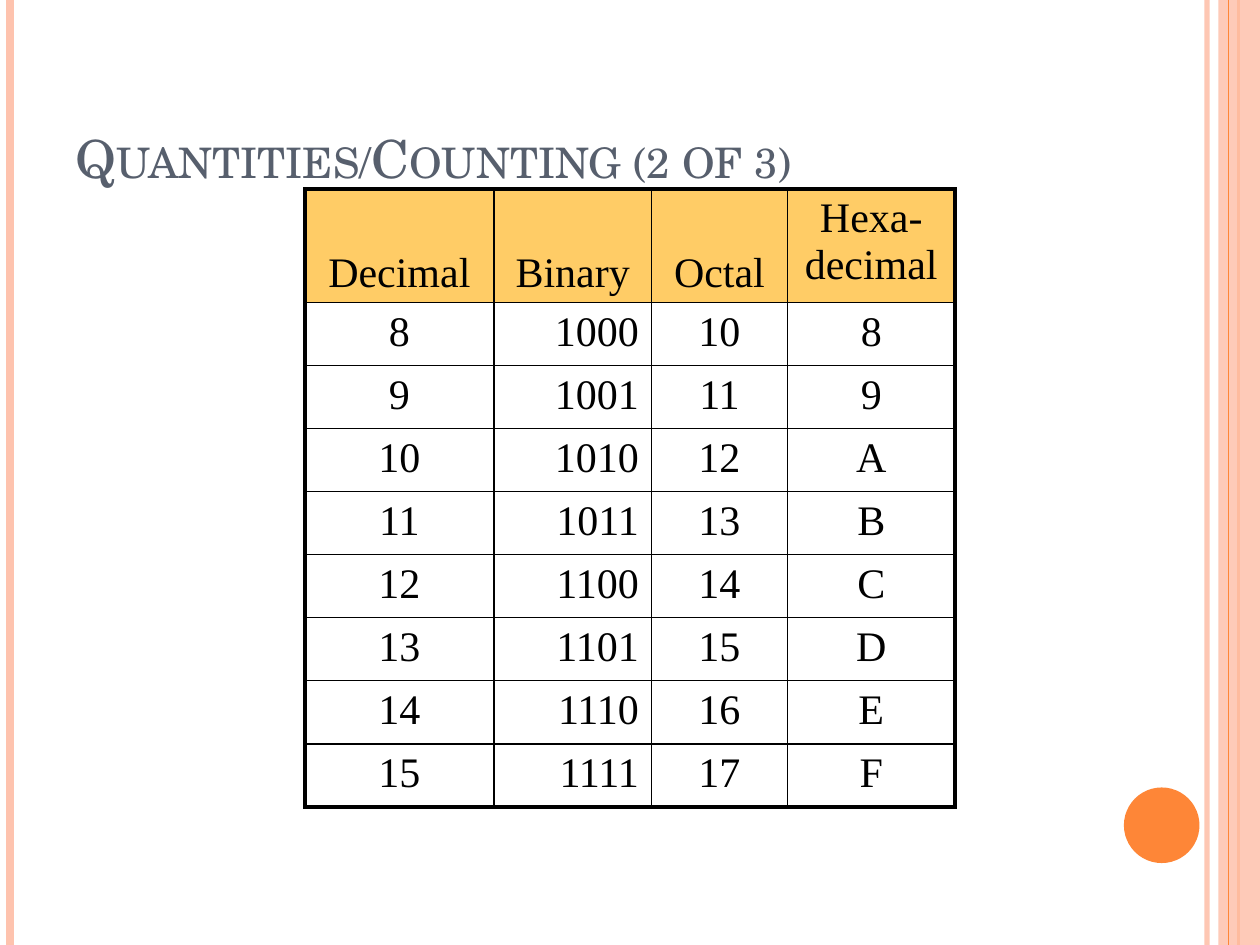
from lxml import etree
from pptx import Presentation
from pptx.dml.color import RGBColor
from pptx.enum.shapes import MSO_CONNECTOR, MSO_SHAPE
from pptx.enum.text import MSO_ANCHOR, PP_ALIGN
from pptx.oxml.ns import qn
from pptx.util import Inches, Pt

STRAIGHT = MSO_CONNECTOR.STRAIGHT
RECTANGLE = MSO_SHAPE.RECTANGLE
OVAL = MSO_SHAPE.OVAL
TOP, BOTTOM = MSO_ANCHOR.TOP, MSO_ANCHOR.BOTTOM
LEFT, CENTER, RIGHT = PP_ALIGN.LEFT, PP_ALIGN.CENTER, PP_ALIGN.RIGHT

WIDTH, HEIGHT = 10, 7.5
PEACH, ORANGE, SLATE = "FEC3AE", "FE8637", "575F6D"
AMBER, BLACK = "FFCC66", "000000"
THICK, THIN = 2.25, 1

HEADERS = ["Decimal", "Binary", "Octal", "Hexa-\vdecimal"]
COLUMN_WIDTHS = [1.5, 1.25, 1.08, 1.33]
HEADER_HEIGHT = 0.9
NUMBERS = range(8, 16)


def color(value):
    return RGBColor.from_string(value)


def set_alpha(properties, percent):
    for tint in properties.iter(qn("a:srgbClr")):
        etree.SubElement(tint, qn("a:alpha")).set("val", str(percent * 1000))


def style_para(para, font, size, value, align):
    para.alignment = align
    para.font.name = font
    para.font.size = Pt(size)
    para.font.color.rgb = color(value)


def add_rule(page, box, share, value, weight, alpha=100):
    left, top, width, height = box
    x = Inches(left + width * share)
    rule = page.shapes.add_connector(STRAIGHT, x, Inches(top), x, Inches(top + height))
    rule.line.color.rgb = color(value)
    rule.line.width = Pt(weight)
    if alpha < 100:
        set_alpha(rule.line._ln, alpha)
    etree.SubElement(rule._element.spPr, qn("a:effectLst"))


def add_solid(page, kind, box, value):
    solid = page.shapes.add_shape(kind, *map(Inches, box))
    solid.shadow.inherit = False
    solid.fill.solid()
    solid.fill.fore_color.rgb = color(value)
    solid.line.fill.background()
    return solid


def add_frame(page, box):
    left, top, width, height = box
    add_rule(page, box, 0.958, PEACH, 3, 93)
    add_rule(page, box, 0.008, PEACH, 4.5)
    add_rule(page, box, 0.983, ORANGE, 1.5)
    band_box = (left + width * 0.967, top, width * 0.033, height)
    band = add_solid(page, RECTANGLE, band_box, PEACH)
    set_alpha(band._element.spPr, 87)
    add_rule(page, box, 0.975, ORANGE, 0.75)
    disc = width * 0.06
    add_solid(page, OVAL, (left + width * 0.892, top + height * 5 / 6, disc, disc), ORANGE)


def add_title(page, box, text):
    frame = page.shapes.add_textbox(*map(Inches, box)).text_frame
    frame.word_wrap = True
    frame.vertical_anchor = BOTTOM
    para = frame.paragraphs[0]
    para.text = text
    style_para(para, "TeX Gyre Schola", 30, SLATE, LEFT)
    para._p.get_or_add_pPr().get_or_add_defRPr().set("cap", "small")


def set_borders(cell, weights):
    properties = cell._tc.get_or_add_tcPr()
    for side, weight in zip("LRTB", weights):
        line = etree.SubElement(properties, qn(f"a:ln{side}"), w=str(Pt(weight)))
        fill = etree.SubElement(line, qn("a:solidFill"))
        etree.SubElement(fill, qn("a:srgbClr"), val=BLACK)


def fill_cell(cell, text, row, column, last_row, last_column):
    edges = (column == 0, column == last_column, row == 0, row == last_row)
    set_borders(cell, [THICK if edge else THIN for edge in edges])
    if row == 0:
        cell.fill.solid()
        cell.fill.fore_color.rgb = color(AMBER)
    else:
        cell.fill.background()
    cell.vertical_anchor = BOTTOM if row == 0 and column < last_column else TOP
    cell.text = text
    align = RIGHT if row and HEADERS[column] == "Binary" else CENTER
    style_para(cell.text_frame.paragraphs[0], "Times New Roman", 24, BLACK, align)


def add_number_table(page, box):
    records = [HEADERS] + [[str(n), f"{n:b}", f"{n:o}", f"{n:X}"] for n in NUMBERS]
    last_row, last_column = len(records) - 1, len(HEADERS) - 1
    holder = page.shapes.add_table(len(records), len(HEADERS), *map(Inches, box))
    table = holder.table
    table.first_row = table.horz_banding = False
    _, _, width, height = box
    for column, share in zip(table.columns, COLUMN_WIDTHS):
        column.width = Inches(width * share / sum(COLUMN_WIDTHS))
    for row in table.rows:
        row.height = Inches((height - HEADER_HEIGHT) / last_row)
    table.rows[0].height = Inches(HEADER_HEIGHT)
    for row, record in enumerate(records):
        for column, text in enumerate(record):
            fill_cell(table.cell(row, column), text, row, column, last_row, last_column)


def main():
    deck = Presentation()
    deck.slide_width, deck.slide_height = Inches(WIDTH), Inches(HEIGHT)
    page = deck.slides.add_slide(deck.slide_layouts[6])
    add_frame(page, (0, 0, WIDTH, HEIGHT))
    title_box = (WIDTH * 0.05, HEIGHT * 0.04, WIDTH * 0.82, HEIGHT / 6)
    add_title(page, title_box, "Quantities/Counting (2 of 3)")
    table_width = sum(COLUMN_WIDTHS)
    table_box = ((WIDTH - table_width) / 2, HEIGHT * 0.2, table_width, HEIGHT * 0.65)
    add_number_table(page, table_box)
    deck.save("out.pptx")


if __name__ == "__main__":
    main()
